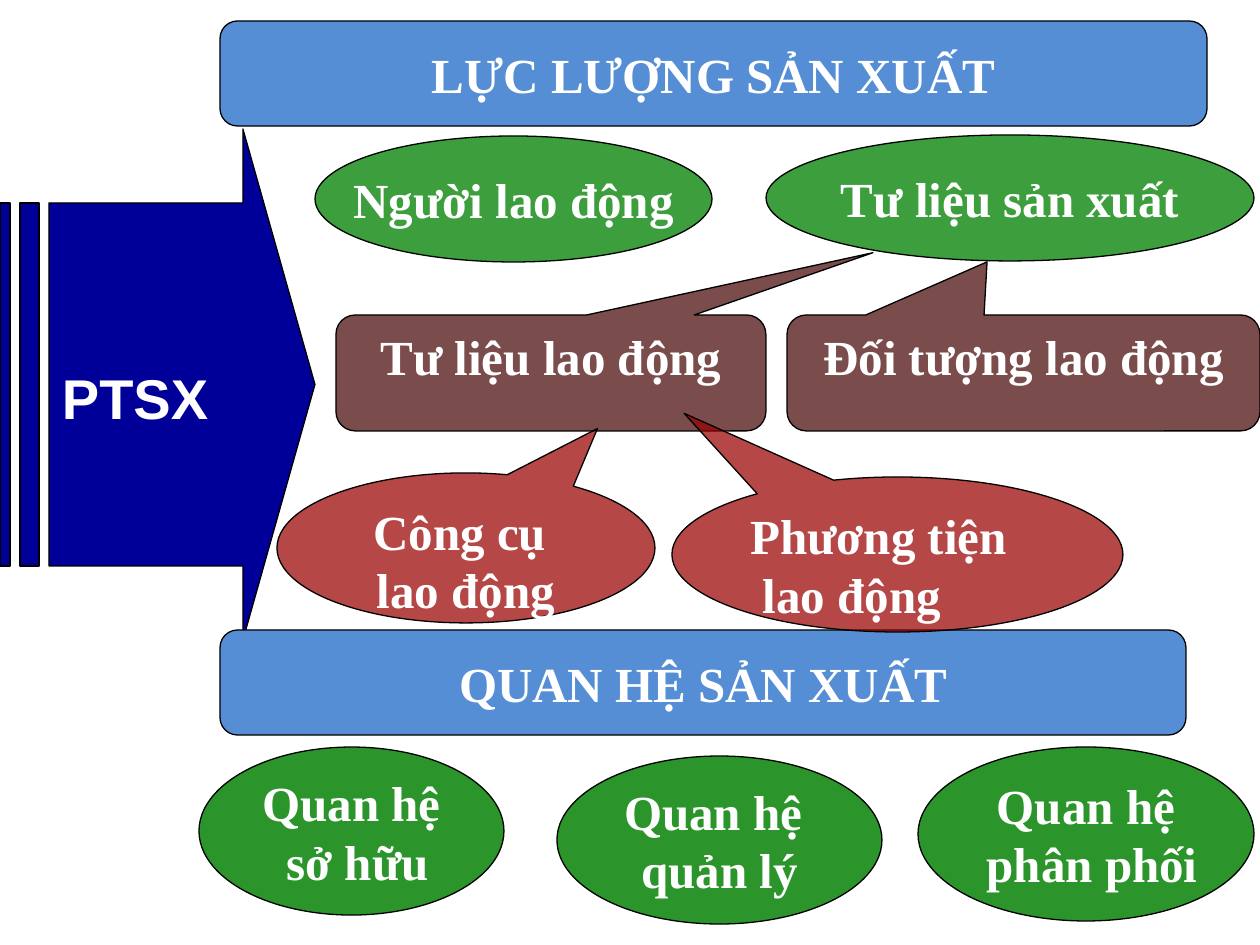
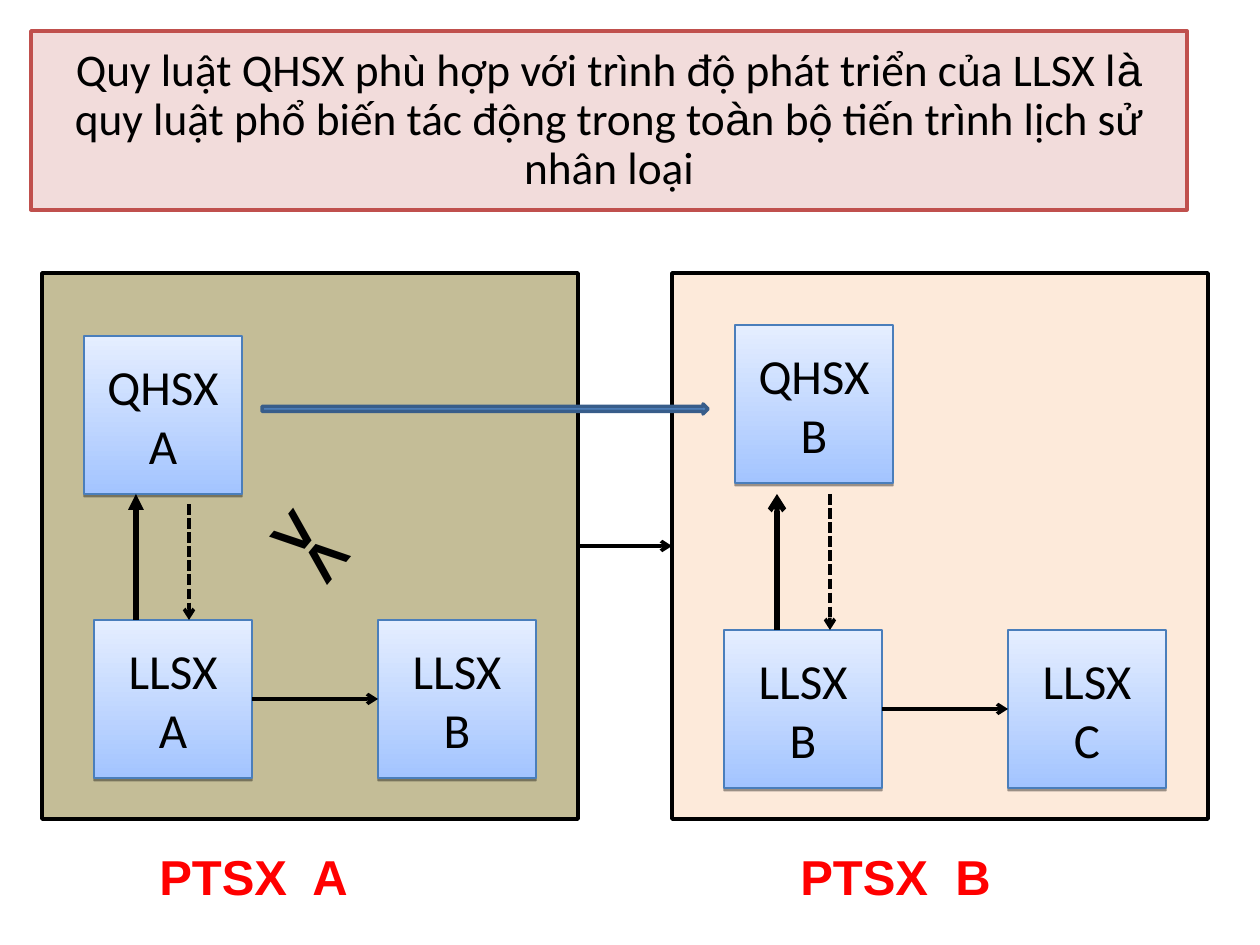
import dataclasses

import lxml.etree
import pptx
import pptx.dml.color
import pptx.enum.dml
import pptx.enum.shapes
import pptx.enum.text
import pptx.oxml.ns
import pptx.util

SCALE = 914400 / 126
KIND = pptx.enum.shapes.MSO_SHAPE
ALIGN = pptx.enum.text.PP_ALIGN
ANCHOR = pptx.enum.text.MSO_ANCHOR
DASH = pptx.enum.dml.MSO_LINE
qn = pptx.oxml.ns.qn


@dataclasses.dataclass(frozen=True)
class Theme:
    white: str = "FFFFFF"
    black: str = "000000"
    red: str = "FF0000"
    navy: str = "000099"
    band: str = "558ED5"
    green: str = "008000"
    brown: str = "420000"
    wine: str = "990000"
    rose: str = "F2DCDB"
    brick: str = "C0504D"
    khaki: str = "C4BD97"
    peach: str = "FDEADA"
    deep: str = "A3C4FF"
    pale: str = "E5EEFF"
    edge: str = "4A7EBB"
    arrow: str = "4F81BD"
    rim: str = "385D8A"
    serif: str = "Times New Roman"
    sans: str = "Arial"
    body: str = "Calibri"
    text: float = 28
    title: float = 25.9
    large: float = 32
    mark: float = 40
    thin: float = 0.75
    line: float = 2
    thick: float = 3


T = Theme()


def px(n):
    return round(n * SCALE)


def rgb(code):
    return pptx.dml.color.RGBColor.from_string(code)


def child(node, tag, **attrs):
    return lxml.etree.SubElement(node, qn(tag), attrs)


def paint(shape, fill, line=T.black, width=T.thin, alpha=100):
    """Give a shape a solid fill, an outline and no shadow; alpha in percent."""
    shape.shadow.inherit = False
    shape.fill.solid()
    shape.fill.fore_color.rgb = rgb(fill)
    shape.line.color.rgb = rgb(line)
    shape.line.width = pptx.util.Pt(width)
    if alpha < 100:
        tint = shape.element.spPr.find(qn("a:solidFill"))[0]
        child(tint, "a:alpha", val=str(alpha * 1000))


def shape_at(slide, kind, box, adj=()):
    shape = slide.shapes.add_shape(kind, *map(px, box))
    for i, val in enumerate(adj):
        shape.adjustments[i] = val
    return shape


def write(shape, lines, font, color, size=T.text, bold=False,
          align=ALIGN.CENTER, anchor=ANCHOR.MIDDLE, wrap=True):
    """Write lines, each a string or a list of (text, font) runs."""
    frame = shape.text_frame
    frame.word_wrap = wrap
    frame.vertical_anchor = anchor
    for i, line in enumerate(lines):
        para = frame.paragraphs[0] if i == 0 else frame.add_paragraph()
        para.alignment = align
        for text, face in [(line, font)] if isinstance(line, str) else line:
            run = para.add_run()
            run.text = text
            run.font.name = face
            run.font.size = pptx.util.Pt(size)
            run.font.bold = bold
            run.font.color.rgb = rgb(color)
    return frame


def label(slide, box, text, color, size=T.text):
    """Add bold sans text in a plain text box."""
    shape = slide.shapes.add_textbox(*map(px, box))
    write(shape, [text], T.sans, color, size, True, ALIGN.LEFT, ANCHOR.TOP)
    return shape


def link(slide, start, end, width=T.line, dash=None, head="arrow"):
    """Draw an arrow; each end is a point or a (shape, side) pair."""
    ends = [(0, 0) if hasattr(e[0], "shape_id") else e for e in (start, end)]
    wire = slide.shapes.add_connector(
        pptx.enum.shapes.MSO_CONNECTOR.STRAIGHT,
        *(px(n) for point in ends for n in point))
    for given, join in ((start, wire.begin_connect), (end, wire.end_connect)):
        if hasattr(given[0], "shape_id"):
            join(*given)
    wire.line.color.rgb = rgb(T.black)
    wire.line.width = pptx.util.Pt(width)
    if dash:
        wire.line.dash_style = dash
    child(wire.element.spPr.find(qn("a:ln")), "a:tailEnd", type=head)
    child(wire.element.spPr, "a:effectLst")


# Slide 1: parts of the mode of production

def striped(slide, box):
    """Draw the arrow with two stripes behind its tail."""
    x, y, w, h = box
    top, low, neck = y + 74, y + h - 74, x + 243
    build = slide.shapes.build_freeform(px(neck), px(y))
    outline = [(neck, top), (x + 49, top), (x + 49, low), (neck, low),
               (neck, y + h), (x + w, y + h / 2)]
    build.add_line_segments([(px(a), px(b)) for a, b in outline])
    for left, right in ((x + 20, x + 39), (x, x + 10)):
        build.move_to(px(left), px(top))
        build.add_line_segments([(px(a), px(b)) for a, b in (
            (left, low), (right, low), (right, top))])
    shape = build.convert_to_shape()
    paint(shape, T.navy)
    frame = write(shape, ["PTSX"], T.sans, T.white, T.large, True, ALIGN.LEFT)
    frame.margin_left, frame.margin_top = px(62), px(32)


def serif(slide, kind, box, lines, fill, alpha=100, adj=(), **style):
    """Draw a shape with bold white serif text."""
    shape = shape_at(slide, kind, box, adj)
    paint(shape, fill, alpha=alpha)
    write(shape, lines, T.serif, T.white, bold=True, **style)


def band(slide, box, text):
    serif(slide, KIND.ROUNDED_RECTANGLE, box, [text], T.band,
          adj=[0.167], wrap=False)


def oval(slide, box, lines, alpha):
    serif(slide, KIND.OVAL, box, lines, T.green, alpha, wrap=False)


def forces(slide, box):
    """Draw the productive forces and what they consist of."""
    x, y, w, h = box
    band(slide, (x, y, 987, 105), "LỰC LƯỢNG SẢN XUẤT")
    oval(slide, (x + 95, y + 115, 397, 126), ["Người lao động"], 76)
    oval(slide, (x + 546, y + 114, 488, 126), ["Tư liệu sản xuất"], 76)
    for left, width, text, tip in (
            (567, 473, "Đối tượng lao động", (-0.077, -0.958)),
            (116, 430, "Tư liệu lao động", (0.749, -1.037))):
        serif(slide, KIND.ROUNDED_RECTANGULAR_CALLOUT,
              (x + left, y + 294, width, 116), [text], T.brown, 70,
              (*tip, 0.167), anchor=ANCHOR.TOP)
    for spot, lines, tip, align in (
            ((57, 452, 378, 150), ["Công cụ ", "lao động"],
             (0.348, -0.796), ALIGN.CENTER),
            ((452, 456, 451, 155), ["Phương tiện", " lao động"],
             (-0.473, -0.911), ALIGN.LEFT)):
        left, top, *size = spot
        serif(slide, KIND.OVAL_CALLOUT, (x + left, y + top, *size), lines,
              T.wine, 72, tip, align=align, anchor=ANCHOR.TOP)


def bonds(slide, box):
    """Draw the three relations of production under their band."""
    x, y, w, h = box
    band(slide, (x, y, 966, 105), "QUAN HỆ SẢN XUẤT")
    for left, top, width, height, lines in (
            (-21, 117, 305, 168, ["Quan hệ", " sở hữu"]),
            (337, 126, 325, 168, ["Quan hệ ", "quản lý"]),
            (698, 117, 336, 174, ["Quan hệ", " phân phối"])):
        oval(slide, (x + left, y + top, width, height), lines, 83)


def parts(slide):
    striped(slide, (0, 129, 315, 511))
    bonds(slide, (220, 630, 1040, 294))
    forces(slide, (220, 21, 1040, 611))


# Slide 2: the law of development

def title(slide, box):
    shape = shape_at(slide, KIND.RECTANGLE, box)
    paint(shape, T.rose, T.brick, T.line)
    runs = [("Quy luật QHSX phù hợp với trình độ phát triển của LLSX l", T.body),
            ("à", T.sans),
            (" quy luật phổ biến tác động trong to", T.body),
            ("à", T.sans),
            ("n bộ tiến trình lịch sử nhân loại", T.body)]
    frame = write(shape, [runs], T.body, T.black, T.title)
    frame.paragraphs[0].line_spacing = 0.9


def node(slide, x, y, lines):
    """Draw a shaded square with a soft edge below it."""
    shape = shape_at(slide, KIND.RECTANGLE, (x, y, 158, 158))
    paint(shape, T.deep, T.edge)
    shape.fill.gradient()
    shape.fill.gradient_angle = 90
    for stop, color in zip(shape.fill.gradient_stops, (T.deep, T.pale)):
        stop.color.rgb = rgb(color)
    glow = child(shape.element.spPr.find(qn("a:effectLst")), "a:outerShdw",
                 dist="20000", dir="5400000", rotWithShape="0")
    child(child(glow, "a:srgbClr", val=T.black), "a:alpha", val="38000")
    write(shape, lines, T.body, T.black)
    return shape


def panel(slide, box, fill):
    shape = shape_at(slide, KIND.RECTANGLE, box)
    paint(shape, fill, T.black, T.line)
    return shape


def stage(slide, box, now, then, upper, base, rise, fall, head):
    """Fill a panel: upper is the QHSX corner, base the top of the LLSX row,
    rise the x of the solid arrow, fall the x and top of the dashed one."""
    x, y, w, h = box
    node(slide, x + upper[0], y + upper[1], ["QHSX", now])
    low = node(slide, x + 52, y + base, ["LLSX", now])
    after = node(slide, x + 336, y + base, ["LLSX", then])
    link(slide, (low, 3), (after, 1))
    link(slide, (x + rise, y + base), (x + rise, y + 221), T.thick, head=head)
    link(slide, (x + fall[0], y + fall[1]), (x + fall[0], y + base),
         dash=DASH.SQUARE_DOT)
    label(slide, (x + rise + 11, y + h + 21, 325, 72), "PTSX  " + now, T.red)


def growth(slide):
    title(slide, (31, 31, 1156, 179))
    left, right = ((x, 273, 536, 546) for x in (42, 672))
    old, new = panel(slide, left, T.khaki), panel(slide, right, T.peach)
    link(slide, (old, 3), (new, 1))
    stage(slide, left, "A", "B", (42, 63), 347, 94, (147, 231), "triangle")
    stage(slide, right, "B", "C", (63, 52), 357, 105, (158, 221), "arrow")
    label(slide, (258, 501, 126, 97), "><", T.black, T.mark).rotation = 39.8
    leap = shape_at(slide, KIND.RIGHT_ARROW, (262, 404, 446, 10), (0.5, 0.5))
    paint(leap, T.arrow, T.rim, T.line)


def main():
    deck = pptx.Presentation()
    deck.slide_width, deck.slide_height = px(1260), px(945)
    for draw in (parts, growth):
        draw(deck.slides.add_slide(deck.slide_layouts[6]))
    deck.save("out.pptx")


if __name__ == "__main__":
    main()
